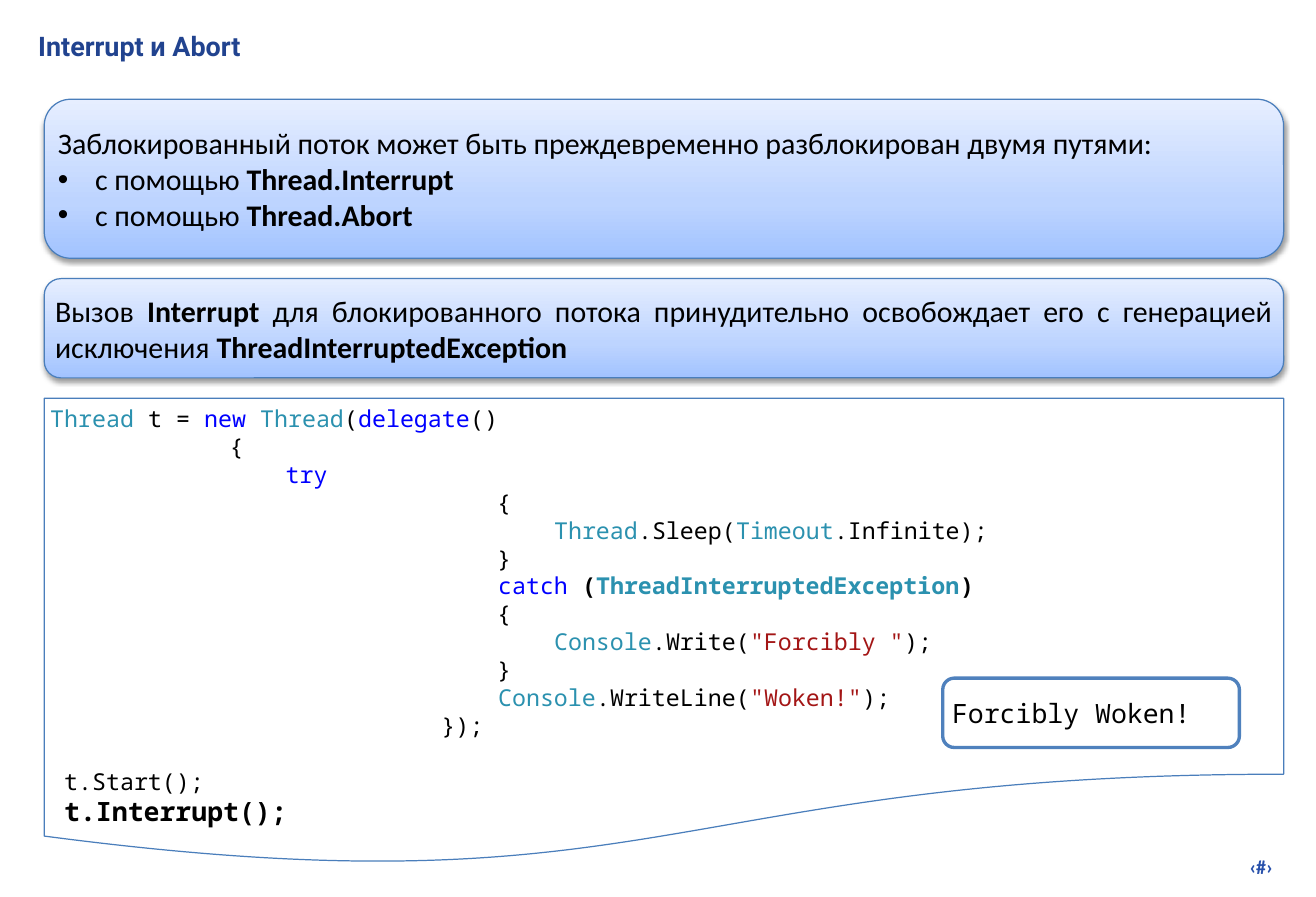
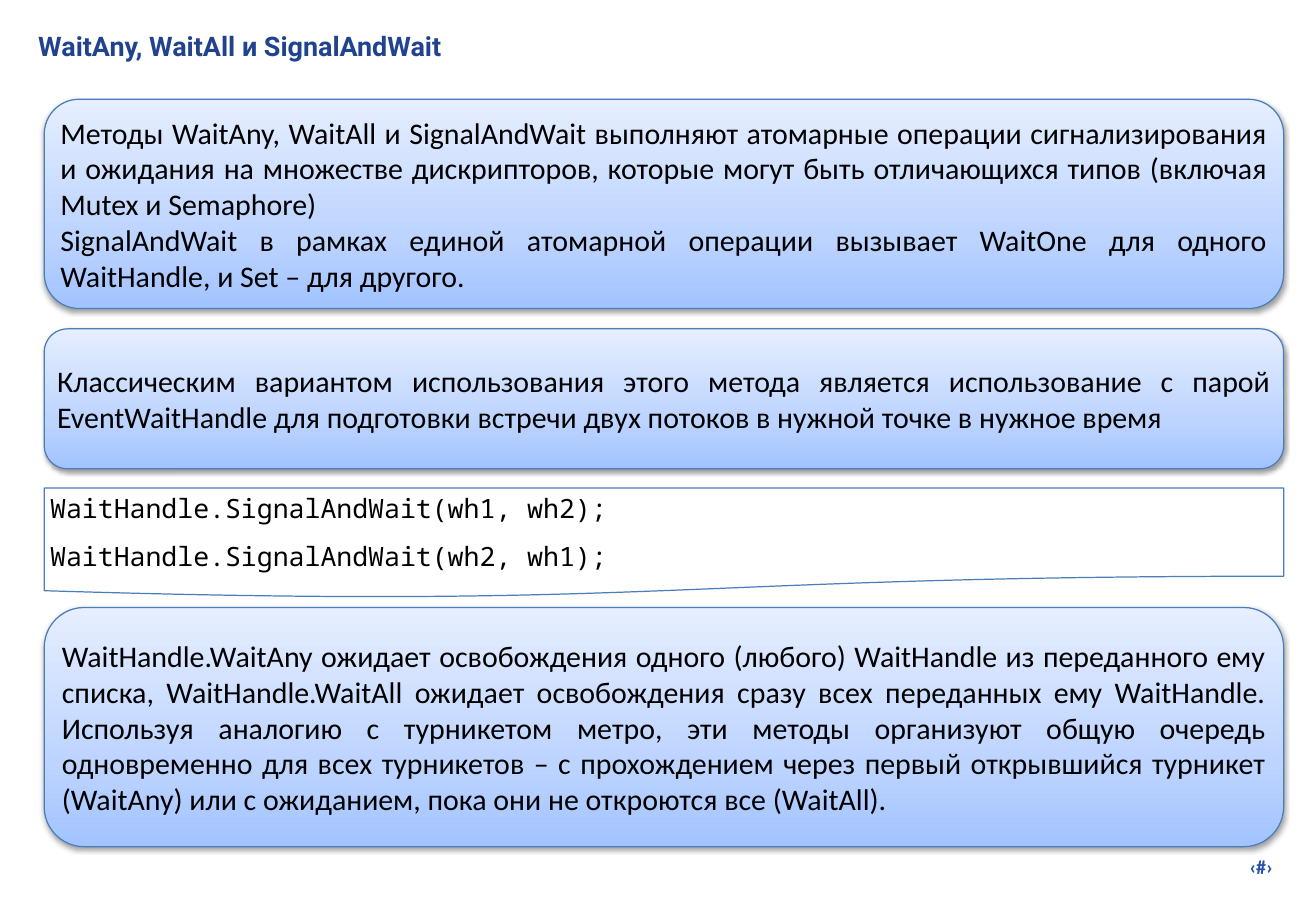
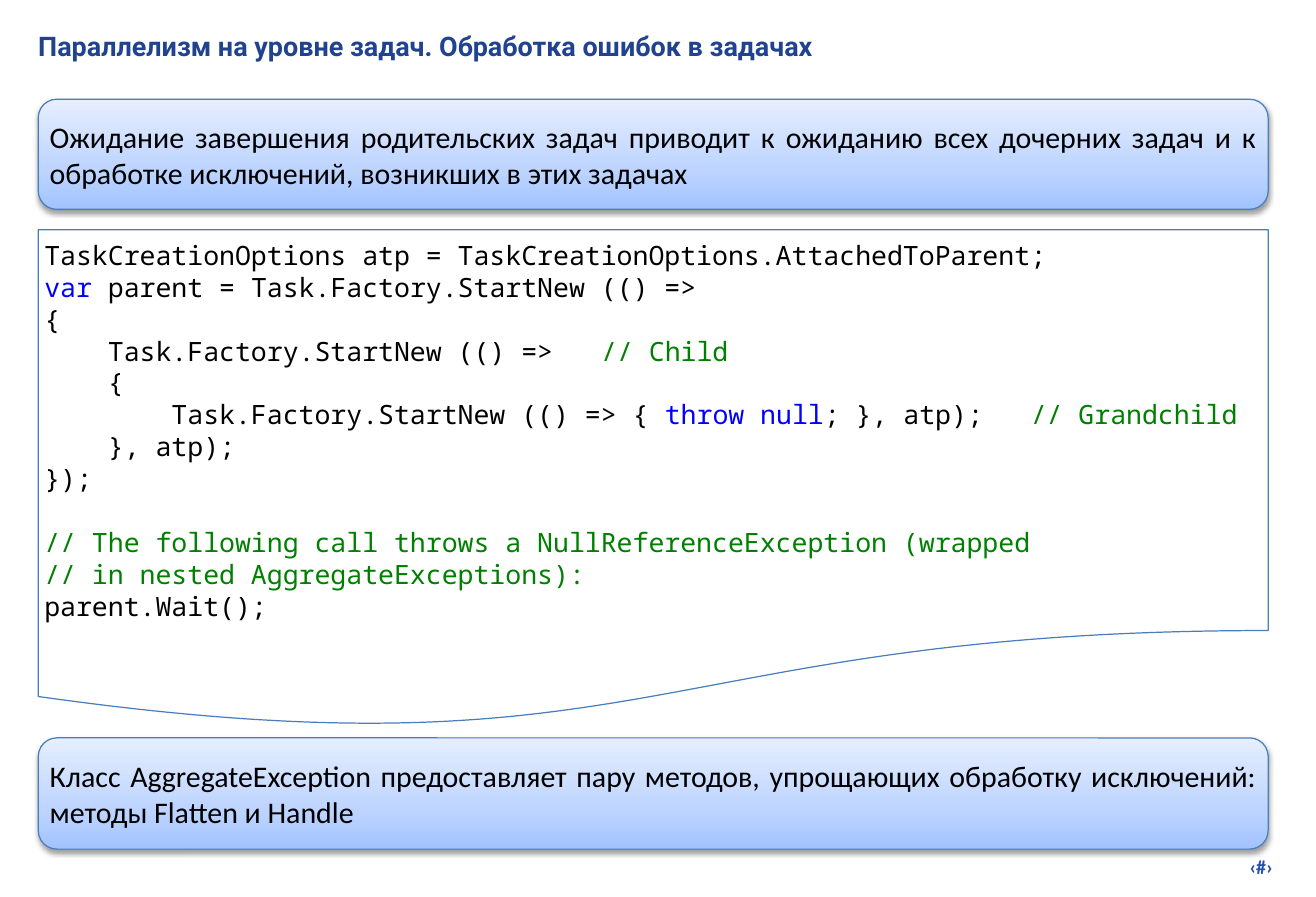
from dataclasses import dataclass
from typing import NamedTuple

import lxml.etree
import pptx
import pptx.dml.color
import pptx.enum.shapes
import pptx.enum.text
import pptx.oxml.ns
import pptx.util

Inches, Pt = pptx.util.Inches, pptx.util.Pt
RGB = pptx.dml.color.RGBColor.from_string
SHAPE = pptx.enum.shapes.MSO_SHAPE
ALIGN = pptx.enum.text.PP_ALIGN
ANCHOR = pptx.enum.text.MSO_ANCHOR
qn = pptx.oxml.ns.qn


# Theme
@dataclass(frozen=True)
class Theme:
    title: str = "21438F"
    footer: str = "2750AB"
    text: str = "000000"
    white: str = "FFFFFF"
    line: str = "4A7EBB"
    output_line: str = "4F81BD"
    keyword: str = "0000FF"
    type_name: str = "2B91AF"
    string: str = "A31515"
    comment: str = "008000"
    gradient: tuple = ((0, "A2C3FF"), (35, "BDD4FF"), (100, "E6EEFF"))
    title_font: str = "Roboto"
    body_font: str = "Calibri"
    code_font: str = "Noto Sans Mono"
    title_size: float = 16.2
    footer_size: float = 12
    body_size: float = 18
    code_size: float = 16
    small_code_size: float = 14
    line_height: float = 1.2


THEME = Theme()


# Text and panel descriptions
class Run(NamedTuple):
    text: str
    color: str = THEME.text
    bold: bool = False
    size: float | None = None


class Para(NamedTuple):
    runs: list[Run]
    align: ALIGN = ALIGN.LEFT
    before: float = 0
    bullet: bool = False


class Panel(NamedTuple):
    kind: str  # "note", "code" or "output"
    top: float
    height: float
    paras: list[Para]
    size: float = THEME.code_size
    anchor: ANCHOR = ANCHOR.MIDDLE
    left: float | None = None
    width: float | None = None


class Page(NamedTuple):
    title: str
    left: float
    width: float
    panels: list[Panel]


def keyword(text: str) -> Run:
    return Run(text, THEME.keyword)


def type_name(text: str, bold: bool = False) -> Run:
    return Run(text, THEME.type_name, bold)


def string(text: str) -> Run:
    return Run(text, THEME.string)


def comment(text: str) -> Run:
    return Run(text, THEME.comment)


def bold(text: str, size: float | None = None) -> Run:
    return Run(text, bold=True, size=size)


def line(*parts: Run | str, before: float = 0) -> Para:
    runs = [Run(part) if isinstance(part, str) else part for part in parts]
    return Para(runs, before=before)


def prose(*parts: Run | str) -> Para:
    return line(*parts)._replace(align=ALIGN.JUSTIFY)


def bullet(*parts: Run | str) -> Para:
    return line(*parts)._replace(bullet=True)


def blank_line(size: float) -> float:
    return size * THEME.line_height


# Drawing
def write(tf, paras: list[Para], font: str, size: float, anchor: ANCHOR) -> None:
    tf.word_wrap = True
    tf.vertical_anchor = anchor
    tf.margin_left = tf.margin_right = tf.margin_top = tf.margin_bottom = Inches(0.05)
    for i, para in enumerate(paras):
        p = tf.paragraphs[0] if i == 0 else tf.add_paragraph()
        p.alignment = para.align
        p.space_before = Pt(para.before)
        if para.bullet:
            pPr = p._p.get_or_add_pPr()
            pPr.set("marL", str(Inches(0.31)))
            pPr.set("indent", str(-Inches(0.31)))
            lxml.etree.SubElement(pPr, qn("a:buFont"), typeface="Arial")
            lxml.etree.SubElement(pPr, qn("a:buChar"), char="•")
        for run in para.runs:
            r = p.add_run()
            r.text = run.text
            r.font.name = font
            r.font.size = Pt(run.size or size)
            r.font.bold = run.bold
            r.font.color.rgb = RGB(run.color)


def add_text(s, left: float, top: float, width: float, height: float,
             para: Para, font: str, size: float) -> None:
    sp = s.shapes.add_textbox(Inches(left), Inches(top), Inches(width), Inches(height))
    write(sp.text_frame, [para], font, size, ANCHOR.TOP)


def add_gradient(sp) -> None:
    spPr = sp._element.spPr
    grad = lxml.etree.Element(qn("a:gradFill"), rotWithShape="1")
    stops = lxml.etree.SubElement(grad, qn("a:gsLst"))
    for pos, color in THEME.gradient:
        gs = lxml.etree.SubElement(stops, qn("a:gs"), pos=str(pos * 1000))
        lxml.etree.SubElement(gs, qn("a:srgbClr"), val=color)
    lxml.etree.SubElement(grad, qn("a:lin"), ang=str(270 * 60000), scaled="0")
    spPr.replace(spPr.find(qn("a:solidFill")), grad)


def add_shadow(sp) -> None:
    effects = sp._element.spPr.find(qn("a:effectLst"))
    shadow = lxml.etree.SubElement(
        effects, qn("a:outerShdw"), blurRad=str(Pt(3)), dist=str(Pt(1.6)),
        dir=str(90 * 60000), rotWithShape="0")
    color = lxml.etree.SubElement(shadow, qn("a:srgbClr"), val=THEME.text)
    lxml.etree.SubElement(color, qn("a:alpha"), val="38000")


def add_panel(s, page: Page, panel: Panel) -> None:
    is_code, is_note = panel.kind == "code", panel.kind == "note"
    is_output = panel.kind == "output"
    sp = s.shapes.add_shape(
        SHAPE.FLOWCHART_DOCUMENT if is_code else SHAPE.ROUNDED_RECTANGLE,
        Inches(panel.left or page.left), Inches(panel.top),
        Inches(panel.width or page.width), Inches(panel.height))
    sp.shadow.inherit = False
    sp.fill.solid()
    sp.fill.fore_color.rgb = RGB(THEME.white)
    sp.line.color.rgb = RGB(THEME.output_line if is_output else THEME.line)
    sp.line.width = Pt(2 if is_output else 0.75)
    if is_note:
        add_gradient(sp)
        add_shadow(sp)
    font = THEME.body_font if is_note else THEME.code_font
    size = THEME.body_size if is_note else panel.size
    write(sp.text_frame, panel.paras, font, size, panel.anchor)


def add_page(prs, page: Page) -> None:
    s = prs.slides.add_slide(prs.slide_layouts[6])
    add_text(s, 8.36, 7.1, 2.33, 0.29,
             Para([Run("‹#›", THEME.footer, True)], ALIGN.RIGHT),
             THEME.body_font, THEME.footer_size)
    add_text(s, 0.27, 0.2, 10.5, 0.4, Para([Run(page.title, THEME.title, True)]),
             THEME.title_font, THEME.title_size)
    for panel in page.panels:
        add_panel(s, page, panel)


# Content
INDENT = " " * 32
INNER = " " * 36

INTERRUPT_CODE = [
    line(type_name("Thread"), " t = ", keyword("new "), type_name("Thread"), "(",
         keyword("delegate"), "()"),
    line("\t\t\t{"),
    line("\t\t\t    ", keyword("try")),
    line(INDENT + "{"),
    line(INNER, type_name("Thread"), ".Sleep(", type_name("Timeout"), ".Infinite);"),
    line(INDENT + "}"),
    line(INDENT, keyword("catch "), bold("("),
         type_name("ThreadInterruptedException", True), bold(")")),
    line(INDENT + "{"),
    line(INNER, type_name("Console"), ".Write(", string('"Forcibly "'), ");"),
    line(INDENT + "}"),
    line(INDENT, type_name("Console"), ".WriteLine(", string('"Woken!"'), ");"),
    line(" " * 28 + "});"),
    line(" t.Start();", before=blank_line(THEME.small_code_size)),
    line(" ", bold("t.Interrupt();", THEME.code_size)),
]

TASK_CODE = [
    line("TaskCreationOptions atp = TaskCreationOptions.AttachedToParent;"),
    line(keyword("var"), " parent = Task.Factory.StartNew (() =>"),
    line("{"),
    line("    Task.Factory.StartNew (() =>   ", comment("// Child")),
    line("    {"),
    line("        Task.Factory.StartNew (() => { ", keyword("throw null"),
         "; }, atp);   ", comment("// Grandchild")),
    line("    }, atp);"),
    line("});"),
    line(comment("// The following call throws a NullReferenceException (wrapped"),
         before=blank_line(THEME.code_size)),
    line(comment("// in nested AggregateExceptions):")),
    line("parent.Wait();"),
]

PAGES = [
    Page("Interrupt и Abort", 0.37, 10.36, [
        Panel("note", 0.83, 1.33, [
            prose("Заблокированный поток может быть преждевременно разблокирован "
                  "двумя путями:"),
            bullet("c помощью ", bold("Thread.Interrupt")),
            bullet("c помощью ", bold("Thread.Abort")),
        ]),
        Panel("note", 2.33, 0.83, [
            prose("Вызов ", bold("Interrupt"),
                  " для блокированного потока принудительно освобождает его "
                  "с генерацией исключения ", bold("ThreadInterruptedException")),
        ]),
        Panel("code", 3.33, 3.92, INTERRUPT_CODE, THEME.small_code_size, ANCHOR.TOP),
        Panel("output", 5.67, 0.58, [line("Forcibly Woken!")], left=7.88, width=2.48),
    ]),
    Page("WaitAny, WaitAll и SignalAndWait", 0.37, 10.36, [
        Panel("note", 0.83, 1.75, [
            prose("Методы WaitAny, WaitAll и SignalAndWait выполняют атомарные "
                  "операции сигнализирования и ожидания на множестве дискрипторов, "
                  "которые могут быть отличающихся типов (включая Mutex и Semaphore)"),
            prose("SignalAndWait в рамках единой атомарной операции вызывает WaitOne "
                  "для одного WaitHandle, и Set – для другого."),
        ]),
        Panel("note", 2.75, 1.17, [
            prose("Классическим вариантом использования этого метода является "
                  "использование с парой EventWaitHandle для подготовки встречи двух "
                  "потоков в нужной точке в нужное время"),
        ]),
        Panel("code", 4.08, 0.92, [
            line("WaitHandle.SignalAndWait(wh1, wh2);"),
            line("WaitHandle.SignalAndWait(wh2, wh1);", before=10),
        ]),
        Panel("note", 5.08, 2, [
            prose("WaitHandle.WaitAny ожидает освобождения одного (любого) WaitHandle "
                  "из переданного ему списка, WaitHandle.WaitAll ожидает освобождения "
                  "сразу всех переданных ему WaitHandle. Используя аналогию с "
                  "турникетом метро, эти методы организуют общую очередь одновременно "
                  "для всех турникетов – с прохождением через первый открывшийся "
                  "турникет (WaitAny) или с ожиданием, пока они не откроются все "
                  "(WaitAll)."),
        ]),
    ]),
    Page("Параллелизм на уровне задач. Обработка ошибок в задачах", 0.32, 10.28, [
        Panel("note", 0.83, 0.92, [
            prose("Ожидание завершения родительских задач приводит к ожиданию "
                  "всех дочерних задач и к обработке исключений, возникших в этих "
                  "задачах"),
        ]),
        Panel("code", 1.92, 4.18, TASK_CODE),
        Panel("note", 6.17, 0.93, [
            prose("Класс AggregateException предоставляет пару методов, упрощающих "
                  "обработку исключений: методы Flatten и Handle"),
        ]),
    ]),
]


def main() -> None:
    prs = pptx.Presentation()
    prs.slide_width, prs.slide_height = Inches(11), Inches(7.5)
    for page in PAGES:
        add_page(prs, page)
    prs.save("out.pptx")


if __name__ == "__main__":
    main()
